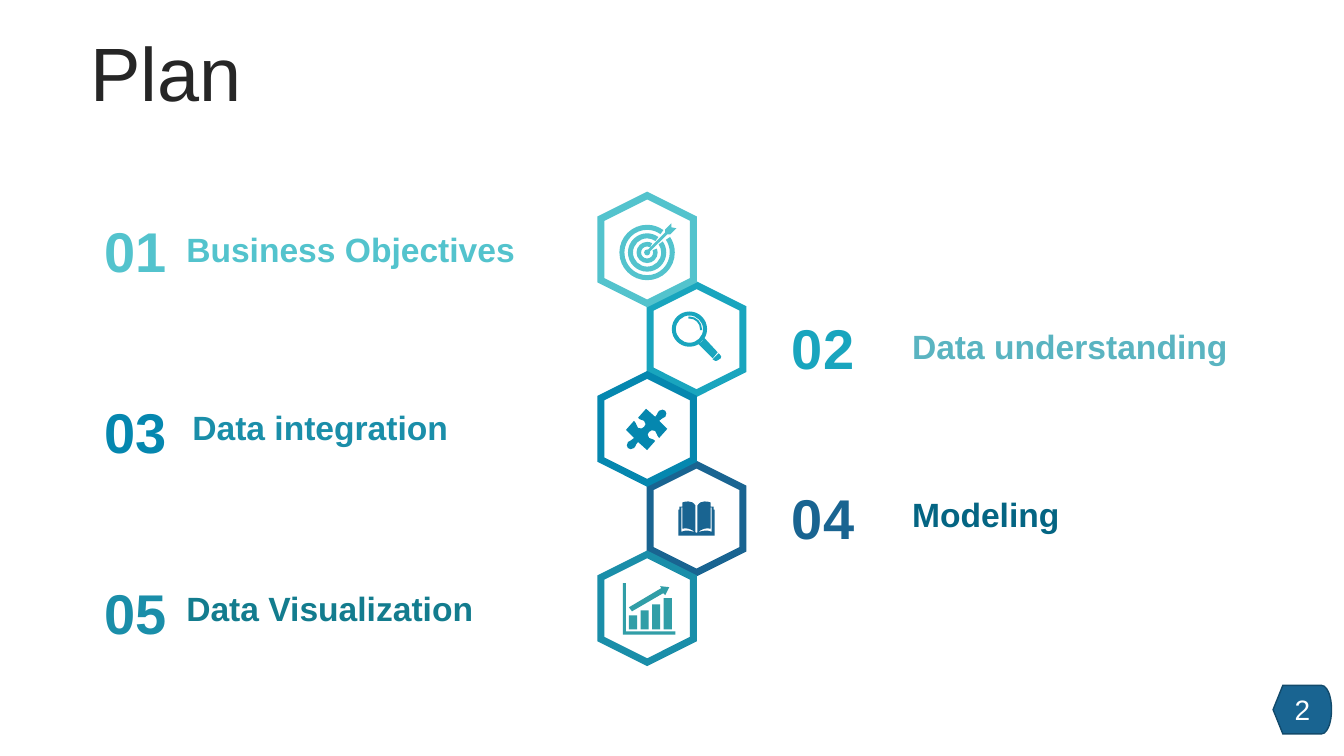
from math import cos, radians, sin, tan

from lxml import etree
from pptx import Presentation
from pptx.dml.color import RGBColor
from pptx.enum.shapes import MSO_SHAPE
from pptx.enum.text import MSO_ANCHOR, MSO_AUTO_SIZE, PP_ALIGN
from pptx.oxml.ns import qn
from pptx.util import Inches, Pt

HEXAGON, DISPLAY = MSO_SHAPE.HEXAGON, MSO_SHAPE.FLOWCHART_DISPLAY
LEFT, CENTER = PP_ALIGN.LEFT, PP_ALIGN.CENTER
TOP, MIDDLE = MSO_ANCHOR.TOP, MSO_ANCHOR.MIDDLE
GROW, FIXED = MSO_AUTO_SIZE.SHAPE_TO_FIT_TEXT, MSO_AUTO_SIZE.NONE

STEPS = [
    ("01", "Business Objectives", "53C3CD", "53C3CD", "53C3CD", (0.93, 2.1), (1.75, 2.22)),
    ("02", "Data understanding", "19A5BE", "5AB4C1", "19A5BE", (7.75, 3.06), (8.95, 3.18)),
    ("03", "Data integration", "0587AF", "1A8EA9", "0587AF", (0.93, 3.89), (1.81, 3.99)),
    ("04", "Modeling", "196491", "046583", "196491", (7.75, 4.75), (8.95, 4.85)),
    ("05", "Data Visualization", "1A8EA9", "137C8E", "319EA7", (0.93, 5.69), (1.75, 5.78)),
]
STACK_ORDER = [3, 1, 2, 0, 4]


def color(value):
    return RGBColor.from_string(value)


def write(box, text, size, ink, bold=False, align=LEFT, anchor=TOP, fit=FIXED, spacing=None):
    frame = box.text_frame
    for name, value in {"word_wrap": True, "auto_size": fit, "vertical_anchor": anchor}.items():
        setattr(frame, name, value)
    para = frame.paragraphs[0]
    for name, value in {"alignment": align, "line_spacing": spacing}.items():
        setattr(para, name, value)
    span = para.add_run()
    span.text = text
    for name, value in {"name": "Arial", "size": Pt(size), "bold": bold}.items():
        setattr(span.font, name, value)
    span.font.color.rgb = color(ink)


def add_text(page, left, top, width, height, *content, **format_values):
    box = page.shapes.add_textbox(Inches(left), Inches(top), Inches(width), Inches(height))
    write(box, *content, **format_values)


def add_preset(page, kind, left, top, width, height, fill, line, weight):
    shape = page.shapes.add_shape(kind, Inches(left), Inches(top), Inches(width), Inches(height))
    shape.shadow.inherit = False
    shape.fill.solid()
    shape.fill.fore_color.rgb = color(fill)
    shape.line.color.rgb = color(line)
    shape.line.width = Pt(weight)
    etree.SubElement(shape.line._get_or_add_ln(), qn("a:miter"), lim="800000")
    return shape


def arc(x, y, diameter, start, end):
    radius = diameter / 2
    low, high = sorted((start, end))
    inner = [angle for angle in range(-90, 361, 90) if low < angle < high]
    stops = [low, *inner, high]
    if start > end:
        stops.reverse()
    parts = [(x + radius * cos(radians(start)), y + radius * sin(radians(start)))]
    for first, last in zip(stops, stops[1:]):
        a, b = radians(first), radians(last)
        pull = 4 / 3 * tan((b - a) / 4)
        parts.append((x + radius * (cos(a) - pull * sin(a)), y + radius * (sin(a) + pull * cos(a)),
                      x + radius * (cos(b) + pull * sin(b)), y + radius * (sin(b) - pull * cos(b)),
                      x + radius * cos(b), y + radius * sin(b)))
    return parts


def band(x, y, outer, inner, start, end):
    return arc(x, y, outer, start, end) + arc(x, y, inner, end, start)


def target_icon():
    y = 0.03
    arrow = [(0.18, -0.17), (0.18, -0.2), (0.24, -0.26), (0.24, -0.22),
             (0.29, -0.21), (0.23, -0.15), (0.2, -0.15)]
    return [band(0, y, 0.55, 0.45, -34, 306), band(0, y, 0.38, 0.28, -35, 306),
            band(0, y, 0.21, 0.12, -22, 299), arc(0, y, 0.06, -20, 290) + arrow]


def magnifier_icon():
    x, y = -0.07, -0.1
    handle = [(0.08, -0.01), (0.21, 0.13), (0.16, 0.19), (0.02, 0.05)]
    tip = [(0.22, 0.14), (0.25, 0.17, 0.25, 0.18, 0.24, 0.19), (0.21, 0.21),
           (0.2, 0.22, 0.19, 0.22, 0.16, 0.2)]
    return [arc(x, y, 0.35, 0, 360), arc(x, y, 0.27, 0, 360),
            band(x, y, 0.25, 0.21, -95, 5), handle, tip]


def rotate_half(parts):
    return [tuple((0.01 if i % 2 else -0.01) - value for i, value in enumerate(part))
            for part in parts]


def puzzle_icon():
    half = [
        (-0.01, -0.2), (0.08, -0.12), (0.11, -0.14, 0.09, -0.15, 0.12, -0.18),
        (0.14, -0.2, 0.17, -0.19, 0.18, -0.18), (0.19, -0.17, 0.2, -0.14, 0.18, -0.12),
        (0.16, -0.1, 0.14, -0.11, 0.12, -0.08), (0.2, 0), (0.12, 0.09),
        (0.09, 0.06, 0.1, 0.04, 0.08, 0.02), (0.06, 0.01, 0.03, 0.01, 0.02, 0.03),
        (0, 0.04, 0, 0.07, 0.02, 0.09), (0.05, 0.11, 0.05, 0.09, 0.08, 0.12),
    ]
    return [half + rotate_half(half)]


def book_icon():
    sheet = [
        (0.01, 0.14), (0.01, -0.13), (0.03, -0.16, 0.05, -0.17, 0.08, -0.17),
        (0.1, -0.17, 0.12, -0.17, 0.14, -0.16), (0.14, 0.1), (0.1, 0.09, 0.05, 0.1, 0.01, 0.14),
    ]
    cover = [
        (0.14, -0.12), (0.17, -0.12), (0.17, -0.09), (0.18, -0.09), (0.18, 0.17), (0, 0.17),
        (0, 0.14), (0.06, 0.12, 0.1, 0.11, 0.15, 0.13), (0.15, -0.11), (0.14, -0.11),
    ]
    return [[tuple(value if i % 2 else side * value for i, value in enumerate(part))
             for part in outline] for outline in (sheet, cover) for side in (1, -1)]


def chart_icon():
    bars = []
    for i, top in enumerate([0.07, 0.02, -0.04, -0.1]):
        left = -0.18 + 0.115 * i
        bars.append([(left, top), (left + 0.08, top), (left + 0.08, 0.21), (left, 0.21)])
    axes = [(-0.24, -0.25), (-0.21, -0.25), (-0.21, 0.23), (0.28, 0.23), (0.28, 0.26), (-0.24, 0.26)]
    arrow = [(0.13, -0.22), (0.22, -0.21), (0.18, -0.13), (0.16, -0.15),
             (-0.15, 0.03), (-0.18, -0.01), (0.14, -0.2)]
    return bars + [axes, arrow]


def bend(icon, contours):
    lines = iter(list(icon._element.iter(qn("a:lnTo"))))
    for outline in contours:
        for part in outline[1:]:
            group = [next(lines) for _ in range(len(part) // 2)]
            if len(group) == 3:
                curve = etree.Element(qn("a:cubicBezTo"))
                group[0].addprevious(curve)
                for line in group:
                    curve.append(line[0])
                    line.getparent().remove(line)


def add_icon(page, center_x, center_y, contours, fill):
    placed = [[(Inches(center_x + part[i]), Inches(center_y + part[i + 1]))
               for part in outline for i in range(0, len(part), 2)] for outline in contours]
    builder = page.shapes.build_freeform(*placed[0][0])
    for i, points in enumerate(placed):
        if i:
            builder.move_to(*points[0])
        builder.add_line_segments(points[1:], close=True)
    icon = builder.convert_to_shape()
    bend(icon, contours)
    icon.shadow.inherit = False
    icon.fill.solid()
    icon.fill.fore_color.rgb = color(fill)
    icon.line.fill.background()


def add_hexagon_column(page, left, top):
    width, height, step_x, step_y = 1.07, 0.92, 0.49, 0.89
    centers = [(left + height / 2 + step_x * (i % 2), top + width / 2 + step_y * i)
               for i in range(len(STEPS))]
    for i in STACK_ORDER:
        x, y = centers[i]
        hexagon = add_preset(page, HEXAGON, x - width / 2, y - height / 2, width, height,
                             "FFFFFF", STEPS[i][2], 5)
        hexagon.rotation = 90
    icons = [target_icon(), magnifier_icon(), puzzle_icon(), book_icon(), chart_icon()]
    for (x, y), contours, step in zip(centers, icons, STEPS):
        add_icon(page, x, y, contours, step[4])


def add_step_text(page, number, label, number_ink, label_ink, number_at, label_at):
    add_text(page, *number_at, 0.83, 0.77, number, 40, number_ink, bold=True, align=CENTER, fit=GROW)
    add_text(page, *label_at, 3.94, 0.5, label, 24, label_ink, bold=True, fit=GROW)


def add_page_number(page, left, top):
    badge = add_preset(page, DISPLAY, left, top, 0.58, 0.48, "196491", "124A6B", 1)
    write(badge, "2", 20, "FFFFFF", align=CENTER, anchor=MIDDLE)


def main():
    deck = Presentation()
    deck.slide_width, deck.slide_height = Inches(40 / 3), Inches(7.5)
    page = deck.slides.add_slide(deck.slide_layouts[6])
    add_text(page, 0.35, 0.37, 2.59, 0.79, "Plan", 54, "262626",
             align=CENTER, anchor=MIDDLE, spacing=0.9)
    add_hexagon_column(page, 5.96, 1.94)
    for number, label, number_ink, label_ink, _, number_at, label_at in STEPS:
        add_step_text(page, number, label, number_ink, label_ink, number_at, label_at)
    add_page_number(page, 12.63, 6.8)
    deck.save("out.pptx")


if __name__ == "__main__":
    main()
